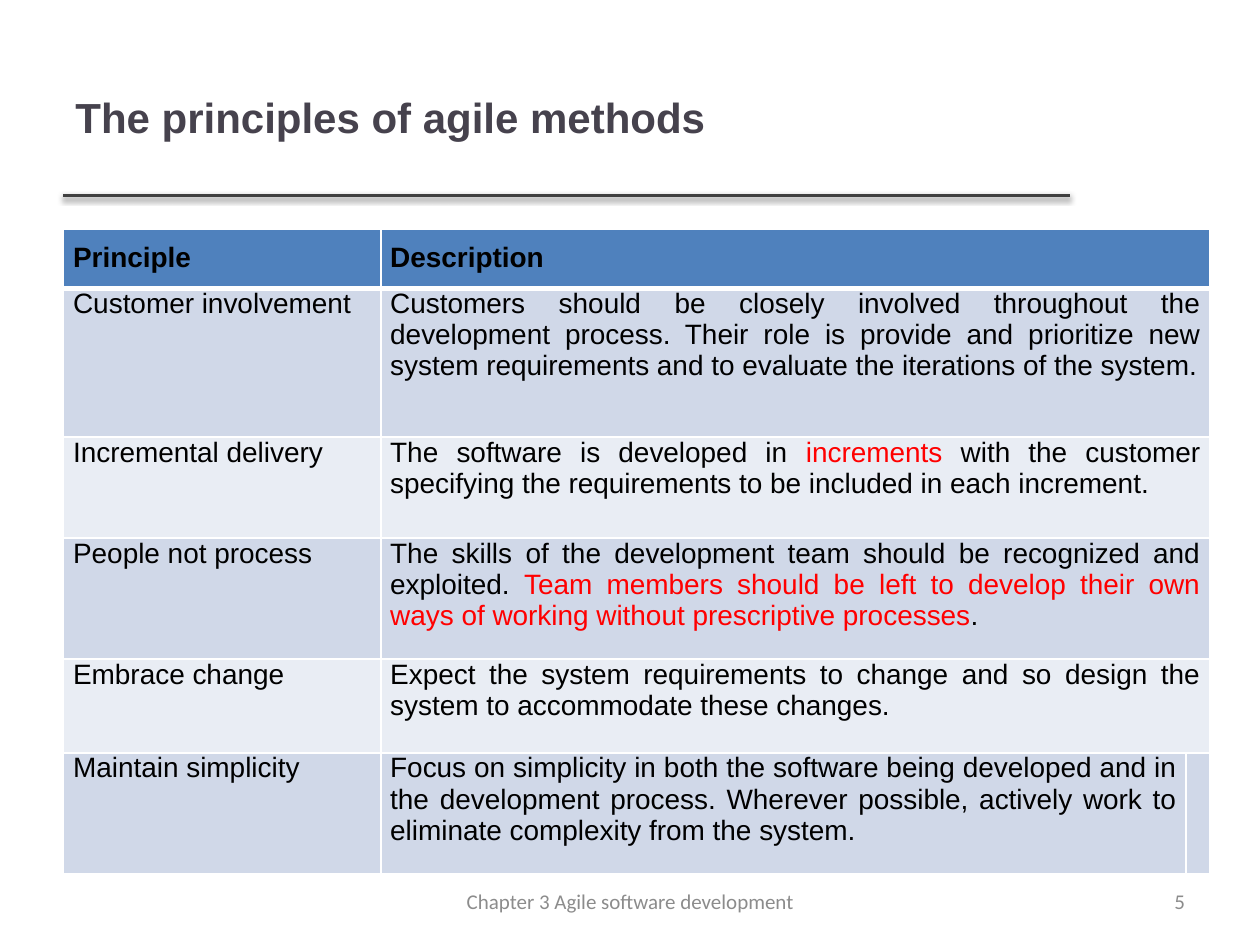
"""Build a slide with a table of the principles of agile methods."""
from lxml import etree
from pptx import Presentation
from pptx.dml.color import RGBColor
from pptx.enum.shapes import MSO_CONNECTOR
from pptx.enum.text import MSO_ANCHOR, PP_ALIGN
from pptx.oxml import parse_xml
from pptx.util import Pt

STRAIGHT = MSO_CONNECTOR.STRAIGHT
MIDDLE = MSO_ANCHOR.MIDDLE
LEFT, CENTER, RIGHT, JUSTIFY = PP_ALIGN.LEFT, PP_ALIGN.CENTER, PP_ALIGN.RIGHT, PP_ALIGN.JUSTIFY
NS = "http://schemas.openxmlformats.org/drawingml/2006/main"
BLACK, RED, GREY = "000000", "FF0000", "8C8C8C"
HEADER, BAND_DARK, BAND_LIGHT = "4F81BD", "D0D8E8", "E9EDF4"


def rgb(value):
    return RGBColor.from_string(value)


def add_run(p, text, size, font, color, bold=False):
    r = p.add_run()
    r.text = text
    r.font.size = Pt(size)
    r.font.name = font
    r.font.bold = bold
    r.font.color.rgb = rgb(color)


prs = Presentation()
prs.slide_width, prs.slide_height = Pt(720), Pt(540)
s = prs.slides.add_slide(prs.slide_layouts[6])

rule = s.shapes.add_connector(STRAIGHT, Pt(36), Pt(111.6), Pt(611.3), Pt(111.6))
rule.line.color.rgb = rgb("404040")
rule.line.width = Pt(2)
rule._element.spPr.append(parse_xml(
    f'<a:effectLst xmlns:a="{NS}"><a:outerShdw blurRad="{Pt(3.1)}" dist="{Pt(1.6)}" '
    'dir="5400000" rotWithShape="0"><a:srgbClr val="000000"><a:alpha val="38000"/>'
    '</a:srgbClr></a:outerShdw></a:effectLst>'))

texts = [
    ("The principles of agile methods", 36, 21.6, 574.6, 90, LEFT, 24, "Arial", "46424D", True),
    ("5", 516.2, 500.4, 168, 28.8, RIGHT, 12, "Calibri", GREY, False),
    ("Chapter 3 Agile software development", 246.2, 500.4, 228, 28.8, CENTER, 12, "Calibri", GREY, False),
]
for text, x, y, w, h, align, size, font, color, bold in texts:
    tf = s.shapes.add_textbox(Pt(x), Pt(y), Pt(w), Pt(h)).text_frame
    tf.word_wrap = True
    tf.vertical_anchor = MIDDLE
    p = tf.paragraphs[0]
    p.alignment = align
    add_run(p, text, size, font, color, bold)

rows = [
    ("Principle", [("Description", BLACK)]),
    ("Customer involvement", [
        ("Customers should be closely involved throughout the development process. Their role is "
         "provide and prioritize new system requirements and to evaluate the iterations of the "
         "system.", BLACK)]),
    ("Incremental delivery", [
        ("The software is developed in ", BLACK),
        ("increments", RED),
        (" with the customer specifying the requirements to be included in each increment.", BLACK)]),
    ("People not process", [
        ("The skills of the development team should be recognized and exploited. ", BLACK),
        ("Team members should be left to develop their own ways of working without "
         "prescriptive processes", RED),
        (".", BLACK)]),
    ("Embrace change", [
        ("Expect the system requirements to change and so design the system to accommodate "
         "these changes.", BLACK)]),
    ("Maintain simplicity", [
        ("Focus on simplicity in both the software being developed and in the development "
         "process. Wherever possible, actively work to eliminate complexity from the system.", BLACK)]),
]
widths = [181.2, 460.2, 10]
heights = [31.6, 85, 57.6, 69.2, 53.6, 69.2]

table = s.shapes.add_table(len(rows), len(widths), Pt(36.4), Pt(131.2),
                           Pt(sum(widths)), Pt(sum(heights))).table
for column, width in zip(table.columns, widths):
    column.width = Pt(width)

for i, (principle, description) in enumerate(rows):
    table.rows[i].height = Pt(heights[i])
    fill = HEADER if i == 0 else BAND_DARK if i % 2 else BAND_LIGHT
    for j, runs in enumerate([[(principle, BLACK)], description, []]):
        cell = table.cell(i, j)
        cell.margin_left = cell.margin_right = Pt(5.4)
        cell.margin_top = Pt(0 if i else 7.2)
        cell.margin_bottom = Pt(7.2)
        tcPr = cell._tc.get_or_add_tcPr()
        for side in "LRTB":
            thick = (i, side) in [(0, "B"), (1, "T")]
            ln = etree.SubElement(tcPr, f"{{{NS}}}ln{side}", w=str(Pt(3 if thick else 1)))
            solid = etree.SubElement(ln, f"{{{NS}}}solidFill")
            etree.SubElement(solid, f"{{{NS}}}srgbClr", val="FFFFFF")
        cell.fill.solid()
        cell.fill.fore_color.rgb = rgb(fill)
        p = cell.text_frame.paragraphs[0]
        p.alignment = JUSTIFY
        for text, color in runs:
            add_run(p, text, 16, "Arial", color, i == 0)
    if i < len(rows) - 1:
        table.cell(i, 1).merge(table.cell(i, 2))

prs.save("out.pptx")
